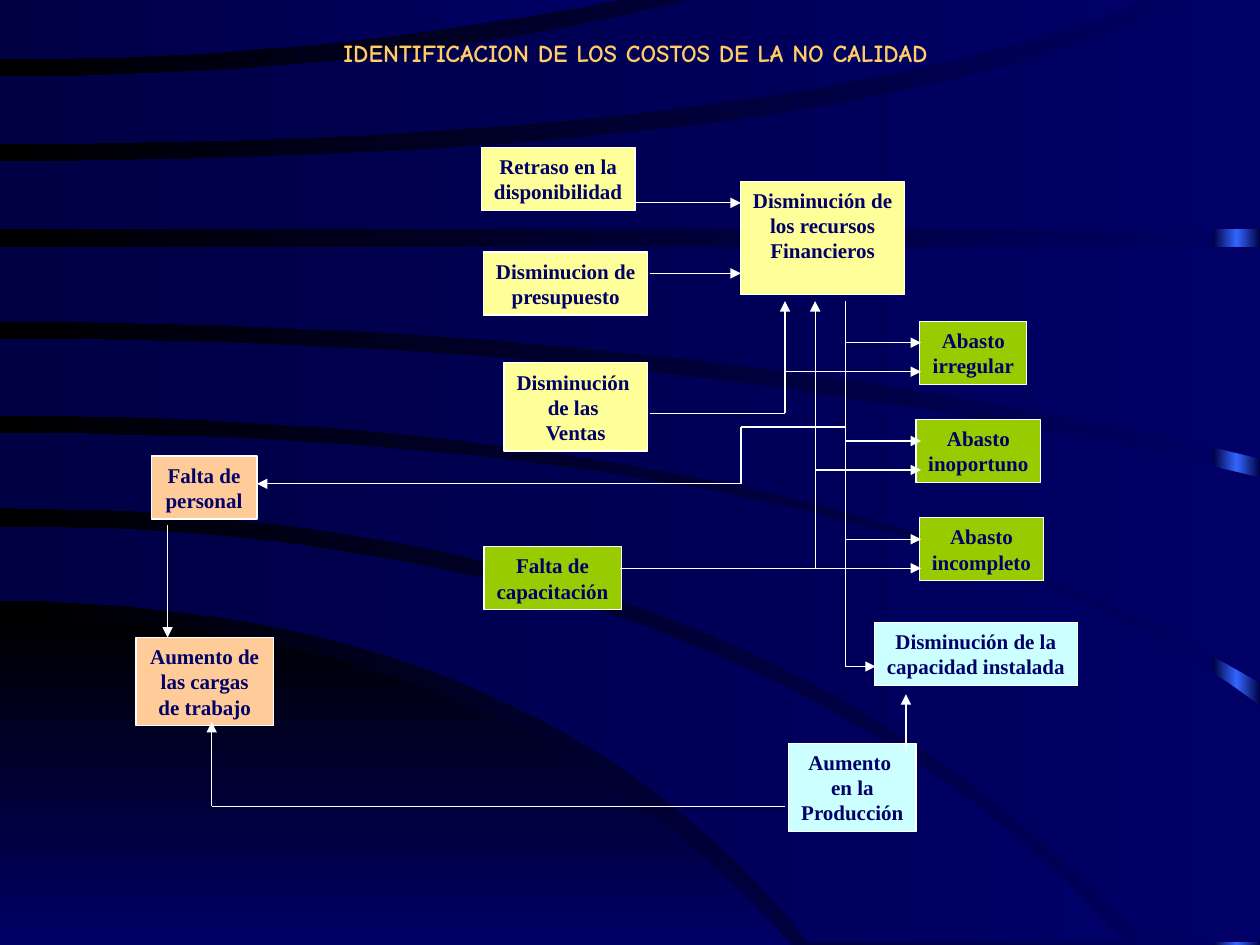
from copy import deepcopy

from lxml import etree
from pptx import Presentation, util as u
from pptx.dml import color as dml
from pptx.enum import shapes, text
from pptx.oxml import ns

PX = 9144  # 100 px to the inch
NAVY, NIGHT, BLACK, WHITE = "000066", "000044", "000000", "FFFFFF"
PEACH, YELLOW, GREEN, AQUA = "FFCC99", "FFFF99", "99CC00", "CCFFFF"
STEPS = 24


def rgb(value):
    return dml.RGBColor.from_string(value)


def set_gradient(fill, start, end, angle=180):
    fill.gradient()
    fill.gradient_angle = angle
    for stop, value, position in zip(fill.gradient_stops, (start, end), (0, 1)):
        stop.color.rgb = rgb(value)
        stop.position = position


presentation = Presentation()
presentation.slide_width, presentation.slide_height = 1000 * PX, 750 * PX
slide = presentation.slides.add_slide(presentation.slide_layouts[5])
set_gradient(slide.background.fill, NAVY, BLACK)

# Stripe down the right edge, bright in the middle
stripe = slide.shapes.add_shape(
    shapes.MSO_SHAPE.RECTANGLE, 963 * PX, 0, 37 * PX, 750 * PX)
stripe.shadow.inherit = False
stripe.line.fill.background()
set_gradient(stripe.fill, NIGHT, "3366FF")
stripe.fill.gradient_stops[1].position = 0.5
stop_list = stripe._element.find(".//" + ns.qn("a:gsLst"))
last_stop = deepcopy(stop_list[0])
last_stop.set("pos", "100000")
stop_list.append(last_stop)

# Background bands, from the bottom up: upper edge, lower edge, corner between them.
# An edge leaves the left side level at y, bends at bend and ends at (end_x, end_y).
bands = [
    ((491, 405, 628, 750), (750, 314, 628, 750), []),
    ((418, 593, 893, 748), (477, 427, 642, 748), []),
    ((344, 710, 1000, 560), (403, 600, 909, 748), [(1000, 748)]),
    ((269, 542, 1000, 379), (330, 650, 1000, 542), []),
    ((196, 500, 1000, 196), (255, 545, 1000, 364), []),
    ((128, 690, 943, -2), (182, 500, 1000, 182), [(1000, -2)]),
    ((61, 314, 556, -2), (114, 630, 917, -2), []),
    ((-2, 250, 501, -2), (47, 256, 501, -2), []),
]
for number, (upper, lower, corner) in enumerate(bands):
    edges = []
    for y, bend, end_x, end_y in (upper, lower):
        fractions = [step / STEPS for step in range(STEPS + 1)]
        edges.append([(2 * t * (1 - t) * bend + t * t * end_x, y + t * t * (end_y - y))
                      for t in fractions])
    outline = edges[0] + corner + edges[1][::-1]
    builder = slide.shapes.build_freeform(*outline[0], scale=PX)
    builder.add_line_segments(outline[1:], close=True)
    band = builder.convert_to_shape()
    band.shadow.inherit = False
    band.line.fill.background()
    if number == 0:
        set_gradient(band.fill, BLACK, NAVY, 270)
    else:
        set_gradient(band.fill, NAVY, NIGHT)

# Title, brought in front of the bands
title = slide.shapes.title
slide.shapes._spTree.append(title._element)
title.left, title.top, title.width, title.height = 192 * PX, 25 * PX, 625 * PX, 34 * PX
title.text_frame.vertical_anchor = text.MSO_ANCHOR.TOP
title.text_frame.auto_size = text.MSO_AUTO_SIZE.NONE
paragraph = title.text_frame.paragraphs[0]
paragraph.alignment = text.PP_ALIGN.CENTER
run = paragraph.add_run()
run.text = "IDENTIFICACION DE LOS COSTOS DE LA NO CALIDAD"
run.font.size, run.font.bold, run.font.name = u.Pt(14), True, "Comic Neue"
run.font.color.rgb = rgb("FFCC66")

# Causes and effects: left, top, width, height, colour, lines
boxes = [
    (120, 362, 84, 50, PEACH, ["Falta de", "personal"]),
    (108, 506, 109, 70, PEACH, ["Aumento de", "las cargas", "de trabajo"]),
    (382, 117, 122, 50, YELLOW, ["Retraso en la", "disponibilidad"]),
    (384, 200, 130, 50, YELLOW, ["Disminucion de", "presupuesto"]),
    (400, 288, 114, 70, YELLOW, ["Disminución ", "de las ", "Ventas"]),
    (384, 434, 109, 50, GREEN, ["Falta de", "capacitación"]),
    (588, 144, 130, 90, YELLOW, ["Disminución de", "los recursos", "Financieros"]),
    (730, 255, 85, 50, GREEN, ["Abasto", "irregular"]),
    (727, 333, 99, 50, GREEN, ["Abasto", "inoportuno"]),
    (730, 411, 98, 50, GREEN, ["Abasto", "incompleto"]),
    (694, 494, 161, 50, AQUA, ["Disminución de la", "capacidad instalada"]),
    (626, 590, 101, 70, AQUA, ["Aumento ", "en la", "Producción"]),
]
for left, top, width, height, fill_color, lines in boxes:
    box = slide.shapes.add_shape(
        shapes.MSO_SHAPE.RECTANGLE, left * PX, top * PX, width * PX, height * PX)
    box.shadow.inherit = False
    box.fill.solid()
    box.fill.fore_color.rgb = rgb(fill_color)
    box.line.color.rgb = rgb(WHITE)
    box.line.width = u.Pt(0.75)
    frame = box.text_frame
    frame.word_wrap = False
    frame.vertical_anchor = text.MSO_ANCHOR.TOP
    for number, line in enumerate(lines):
        paragraph = frame.add_paragraph() if number else frame.paragraphs[0]
        paragraph.alignment = text.PP_ALIGN.CENTER
        run = paragraph.add_run()
        run.text = line
        run.font.size, run.font.bold, run.font.name = u.Pt(12), True, "Times New Roman"
        run.font.color.rgb = rgb(NAVY)

# Each route ends in an arrowhead
routes = [
    [(133, 417), (133, 506)],
    [(504, 161), (588, 161)],
    [(516, 217), (588, 217)],
    [(516, 328), (623, 328), (623, 239)],
    [(492, 451), (731, 451)],
    [(647, 451), (647, 239)],
    [(671, 239), (671, 529), (695, 529)],
    [(671, 339), (588, 339), (588, 384), (204, 384)],
    [(719, 596), (719, 551)],
    [(623, 640), (168, 640), (168, 573)],
]
branches = [(671, 272), (623, 295), (671, 350), (647, 373), (671, 428)]
routes += [[(x, y), (731, y)] for x, y in branches]
for route in routes:
    for begin, end in zip(route, route[1:]):
        connector = slide.shapes.add_connector(
            shapes.MSO_CONNECTOR.STRAIGHT, *(value * PX for value in begin + end))
        connector.line.color.rgb = rgb(WHITE)
        connector.line.width = u.Pt(0.75)
        etree.SubElement(connector._element.spPr, ns.qn("a:effectLst"))
    outline = connector._element.spPr.find(ns.qn("a:ln"))
    etree.SubElement(outline, ns.qn("a:tailEnd"), type="triangle")

presentation.save("out.pptx")
